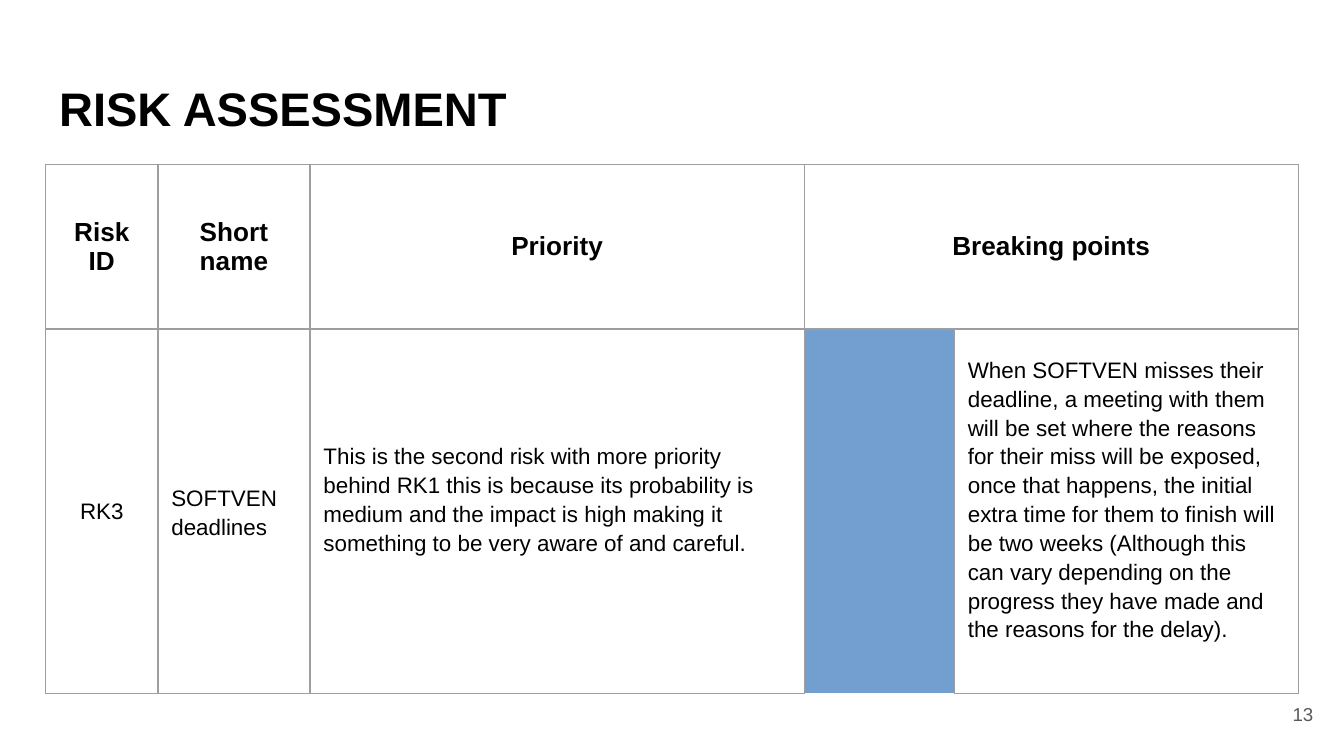
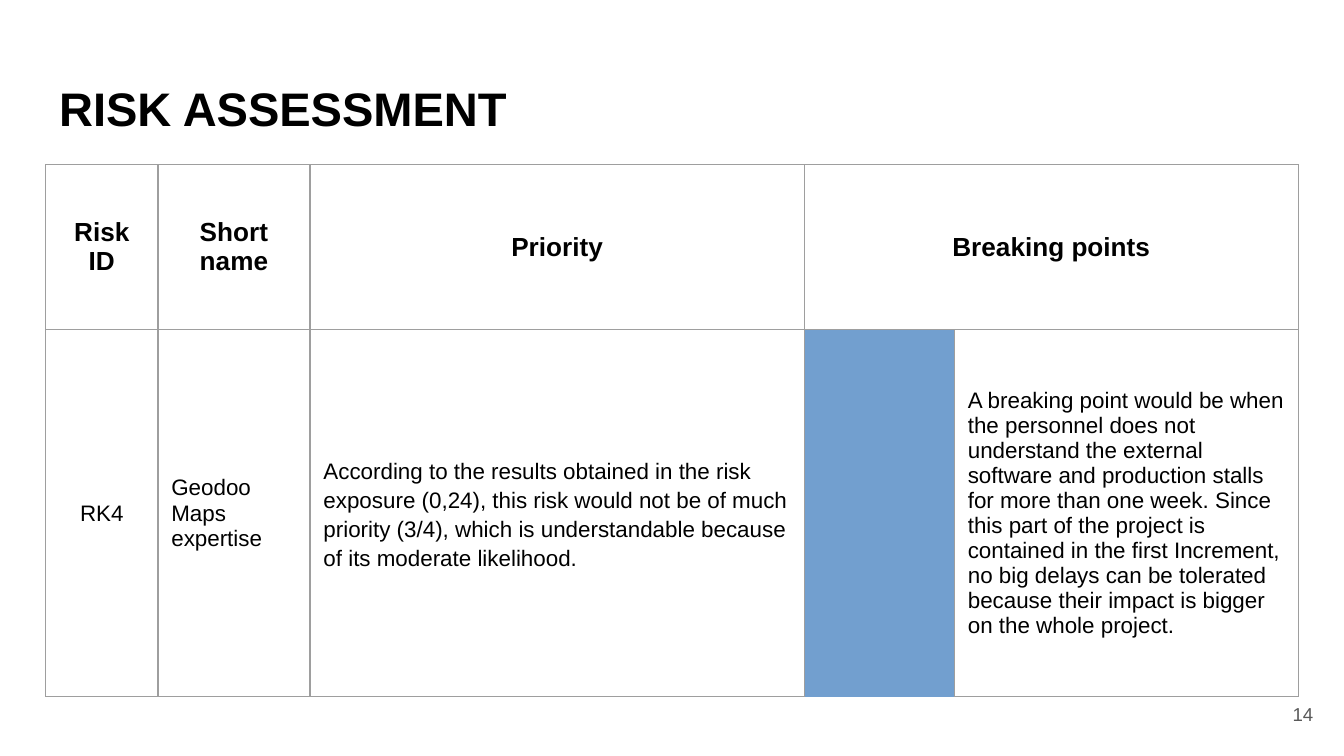
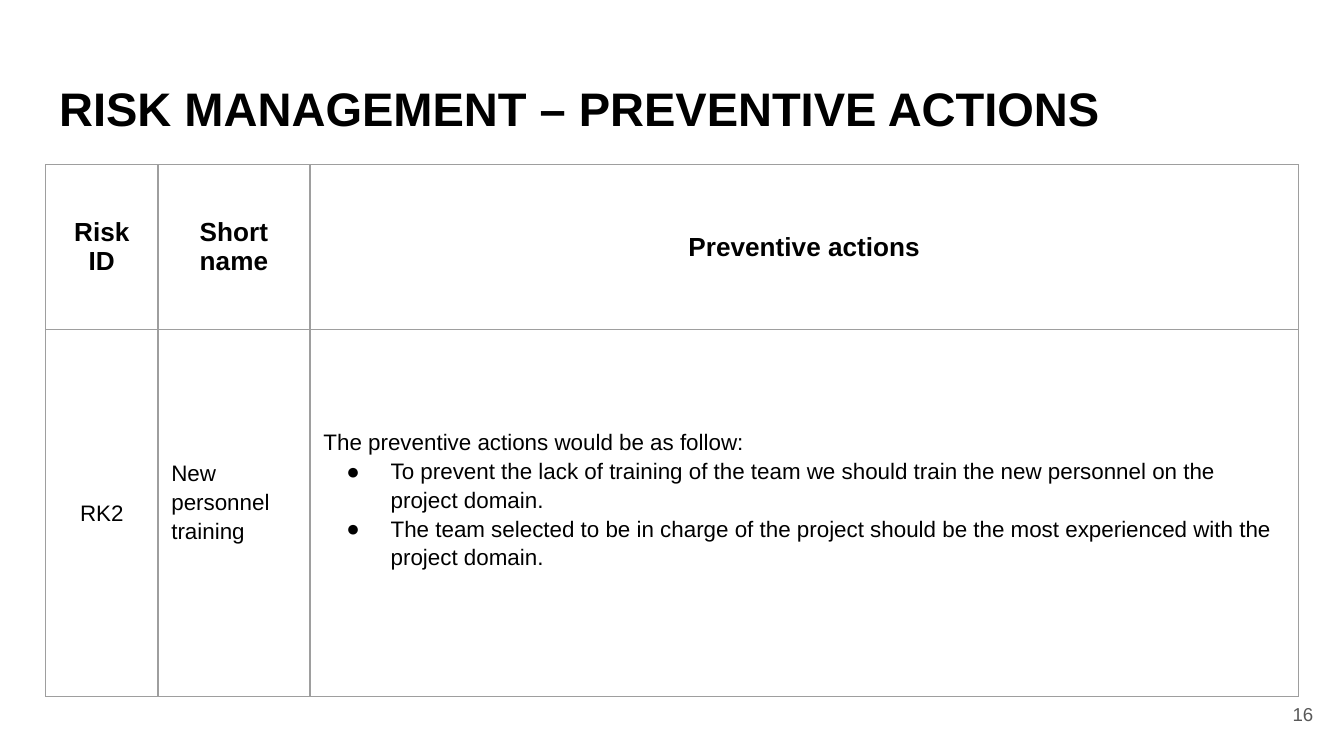
from dataclasses import dataclass

from lxml import etree
from pptx import Presentation
from pptx.dml.color import RGBColor
from pptx.enum.text import MSO_ANCHOR, MSO_AUTO_SIZE, PP_ALIGN
from pptx.oxml.ns import qn
from pptx.util import Inches, Pt

LEFT, CENTER, RIGHT = PP_ALIGN.LEFT, PP_ALIGN.CENTER, PP_ALIGN.RIGHT
MIDDLE = MSO_ANCHOR.MIDDLE
NO_FIT = MSO_AUTO_SIZE.NONE

TITLE_ONLY = 5
COLUMNS = (8.35, 11.32, 13.8, 22.98, 11.17, 25.6)  # percent of slide width
EDGE = 3.4
TABLE_TOP = 21.78


def color(hex_text):
    return RGBColor.from_string(hex_text)


@dataclass
class Cell:
    """Text for table columns first..last; lines after the first are bullets."""
    lines: tuple
    first: int
    last: int
    spacing: float = 1.15
    align: int = LEFT
    bottom: float = 0.1
    size: float = 12
    bold: bool = False


class Deck:
    font = "Arial"
    black, white, gray = "000000", "FFFFFF", "595959"
    border = "9E9E9E"

    def __init__(self):
        self.prs = Presentation()
        self.prs.slide_width = Inches(10)
        self.prs.slide_height = Inches(5.625)
        self.slide = None

    def x(self, percent):
        return round(self.prs.slide_width * percent / 100)

    def y(self, percent):
        return round(self.prs.slide_height * percent / 100)

    def box(self, left, top, width, height):
        return self.x(left), self.y(top), self.x(width), self.y(height)

    def format(self, p, size, bold=False, align=LEFT, hex_text=black):
        p.alignment = align
        for r in p.runs:
            r.font.name = self.font
            r.font.size = Pt(size)
            r.font.bold = bold
            r.font.color.rgb = color(hex_text)

    def set_frame(self, tf, text):
        tf.text = text
        tf.word_wrap = True
        tf.auto_size = NO_FIT
        tf.vertical_anchor = MIDDLE
        tf.margin_left = tf.margin_right = Inches(0.1)
        tf.margin_top = tf.margin_bottom = Inches(0.1)
        return tf.paragraphs[0]

    def new_slide(self, title, number):
        self.slide = self.prs.slides.add_slide(self.prs.slide_layouts[TITLE_ONLY])
        self.title(title)
        self.page_number(number)

    def title(self, text):
        sp = self.slide.shapes.title
        sp.left, sp.top, sp.width, sp.height = self.box(EDGE, 8.71, 93.2, 11.2)
        p = self.set_frame(sp.text_frame, text)
        self.format(p, 25.2, bold=True)

    def page_number(self, number):
        sp = self.slide.shapes.add_textbox(*self.box(92.7, 90.67, 6, 7.64))
        p = self.set_frame(sp.text_frame, str(number))
        self.format(p, 10, align=RIGHT, hex_text=self.gray)

    def bullet(self, p, size):
        pPr = p._p.get_or_add_pPr()
        pPr.set("marL", str(Inches(0.5)))
        pPr.set("indent", str(Inches(-0.33)))
        clr = etree.SubElement(pPr, qn("a:buClr"))
        etree.SubElement(clr, qn("a:srgbClr"), val=self.black)
        etree.SubElement(pPr, qn("a:buSzPts"), val=str(size * 100))
        etree.SubElement(pPr, qn("a:buFont"), typeface=self.font)
        etree.SubElement(pPr, qn("a:buChar"), char="●")

    def style_cell(self, cell):
        tcPr = cell._tc.get_or_add_tcPr()
        for side in "LRTB":
            ln = etree.SubElement(tcPr, qn(f"a:ln{side}"), w=str(Pt(0.75)))
            solid = etree.SubElement(ln, qn("a:solidFill"))
            etree.SubElement(solid, qn("a:srgbClr"), val=self.border)
        cell.fill.solid()
        cell.fill.fore_color.rgb = color(self.white)
        cell.vertical_anchor = MIDDLE
        cell.margin_left = cell.margin_right = Inches(0.1)
        cell.margin_top = cell.margin_bottom = Inches(0.1)

    def fill_cell(self, table, row, content):
        cell = table.cell(row, content.first)
        if content.last > content.first:
            cell.merge(table.cell(row, content.last))
        cell.margin_bottom = Inches(content.bottom)
        tf = cell.text_frame
        has_bullets = len(content.lines) > 1
        for i, line in enumerate(content.lines):
            p = tf.add_paragraph() if i else tf.paragraphs[0]
            p.text = line
            if i:
                self.bullet(p, content.size)
            p.line_spacing = 1.0 if has_bullets and not i else content.spacing
            self.format(p, content.size, content.bold, content.align)

    def table(self, heights, rows):
        frame = self.slide.shapes.add_table(
            len(rows), len(COLUMNS),
            *self.box(EDGE, TABLE_TOP, sum(COLUMNS), sum(heights)))
        table = frame.table
        table.first_row = table.horz_banding = False
        for column, width in zip(table.columns, COLUMNS):
            column.width = self.x(width)
        for i, (height, contents) in enumerate(zip(heights, rows)):
            table.rows[i].height = self.y(height)
            for j in range(len(COLUMNS)):
                self.style_cell(table.cell(i, j))
            for content in contents:
                self.fill_cell(table, i, content)


def heading(text, first, last):
    return Cell((text,), first, last, 1.0, CENTER, size=14, bold=True)


def risk_id(text):
    return Cell((text,), 0, 0, 1.0, CENTER)


def main():
    deck = Deck()
    id_headings = [heading("Risk ID", 0, 0), heading("Short name", 1, 1)]
    assessment = id_headings + [heading("Priority", 2, 3),
                                heading("Breaking points", 4, 5)]
    prevention = id_headings + [heading("Preventive actions", 2, 5)]
    heights = (21.82, 48.58)

    deck.new_slide("RISK ASSESSMENT", 13)
    deck.table((21.75, 48.2), [assessment, [
        risk_id("RK3"),
        Cell(("SOFTVEN deadlines",), 1, 1),
        Cell(("This is the second risk with more priority behind RK1 this is "
              "because its probability is medium and the impact is high making "
              "it something to be very aware of and careful.",), 2, 3,
             bottom=0.29),
        Cell(("When SOFTVEN misses their deadline, a meeting with them will be "
              "set where the reasons for their miss will be exposed, once that "
              "happens, the initial extra time for them to finish will be two "
              "weeks (Although this can vary depending on the progress they "
              "have made and the reasons for the delay).",), 4, 5,
             bottom=0.29),
    ]])

    deck.new_slide("RISK ASSESSMENT", 14)
    deck.table(heights, [assessment, [
        risk_id("RK4"),
        Cell(("Geodoo Maps expertise",), 1, 1, 1.0),
        Cell(("According to the results obtained in the risk exposure (0,24), "
              "this risk would not be of much priority (3/4), which is "
              "understandable because of its moderate likelihood.",), 2, 3),
        Cell(("A breaking point would be when the personnel does not understand "
              "the external software and production stalls for more than one "
              "week. Since this part of the project is contained in the first "
              "Increment, no big delays can be tolerated because their impact "
              "is bigger on the whole project.",), 4, 5, 1.0),
    ]])

    deck.new_slide("RISK MANAGEMENT – PREVENTIVE ACTIONS", 16)
    deck.table(heights, [prevention, [
        risk_id("RK2"),
        Cell(("New personnel training",), 1, 1, bottom=0.29),
        Cell(("The preventive actions would be as follow:",
              "To prevent the lack of training of the team we should train the "
              "new personnel on the project domain.",
              "The team selected to be in charge of the project should be the "
              "most experienced with the project domain."), 2, 5, bottom=0.29),
    ]])

    deck.prs.save("out.pptx")


if __name__ == "__main__":
    main()
